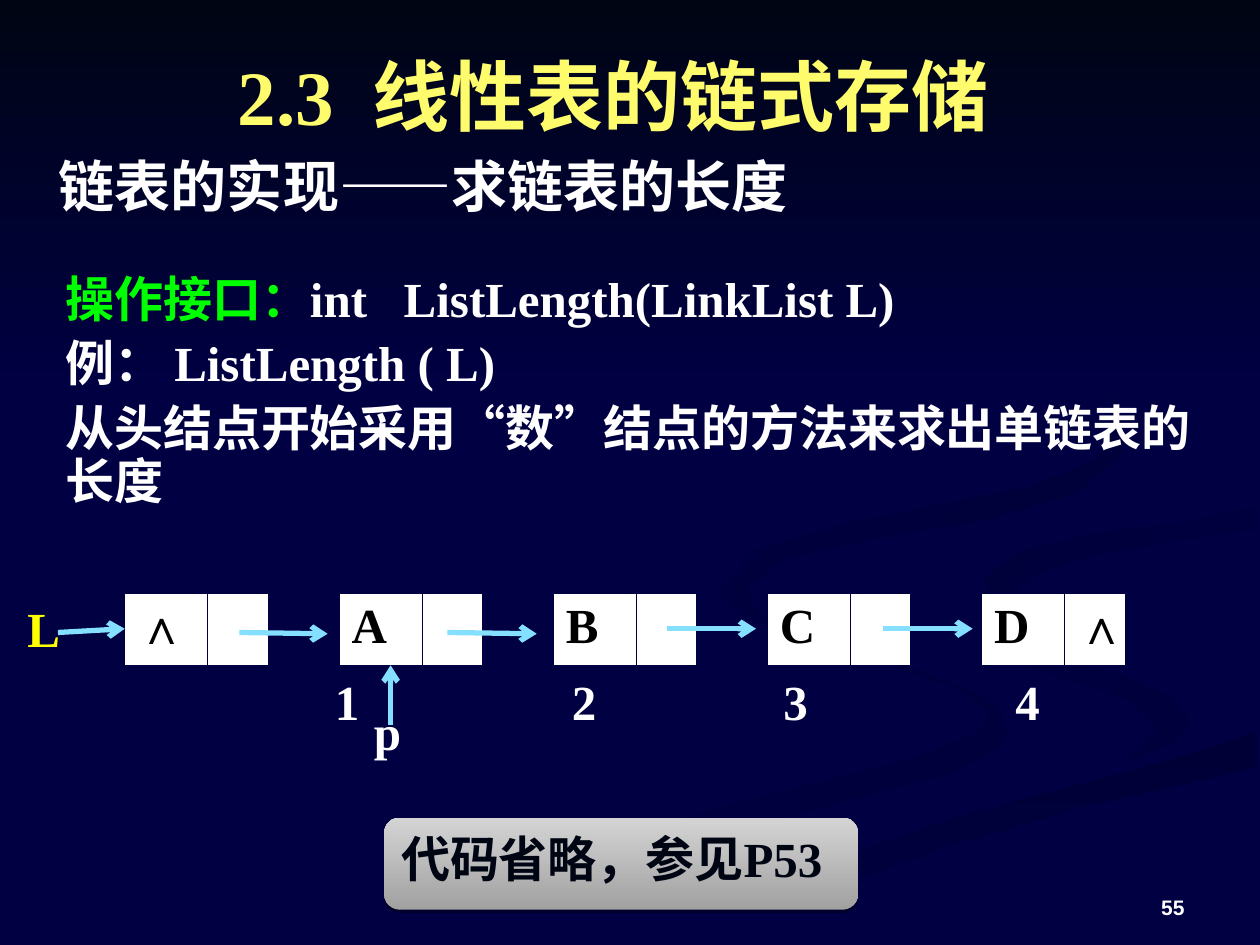
"""Builds the slide on finding the length of a singly linked list."""
import dataclasses

import lxml.etree
import pptx
import pptx.dml.color
import pptx.enum.dml
import pptx.enum.shapes
import pptx.enum.text
import pptx.oxml
import pptx.oxml.ns
import pptx.util

Inches, Pt = pptx.util.Inches, pptx.util.Pt
RGB = pptx.dml.color.RGBColor.from_string
Align, Anchor = pptx.enum.text.PP_ALIGN, pptx.enum.text.MSO_ANCHOR
qn = pptx.oxml.ns.qn


@dataclasses.dataclass(frozen=True)
class Theme:
    navy: str = "000042"
    ink: str = "000514"
    white: str = "FFFFFF"
    black: str = "000000"
    title: str = "FEFB6D"
    yellow: str = "FFFF00"
    green: str = "00FF00"
    arrow: str = "85E0FF"
    silver: tuple = ("A1A1A1", "D4D4D4")
    serif: str = "Times New Roman"
    sans: str = "Arial"
    mono: str = "Courier New"
    title_size: int = 44
    heading_size: int = 32
    body_size: int = 28
    number_size: int = 12


T = Theme()


def write(p, runs, size=T.body_size, color=T.white, font=T.serif):
    p.font.size, p.font.bold = Pt(size), True
    p.font.color.rgb, p.font.name = RGB(color), font
    for text, changes in runs:
        r = p.add_run()
        r.text = text
        if "font" in changes:
            r.font.name = changes["font"]
        if "color" in changes:
            r.font.color.rgb = RGB(changes["color"])


def paint(sp, first, last, angle):
    sp.shadow.inherit = False
    sp.line.fill.background()
    sp.fill.gradient()
    sp.fill.gradient_angle = angle
    for stop, color in zip(sp.fill.gradient_stops, (first, last)):
        stop.color.rgb = RGB(color)


prs = pptx.Presentation()
prs.slide_width, prs.slide_height = Inches(10), Inches(7.5)
s = prs.slides.add_slide(prs.slide_layouts[6])
s.background.fill.solid()
s.background.fill.fore_color.rgb = RGB(T.navy)

ribbons = [
    ("00003C", 0, [(781, 553), (731, 533), (642, 507), (594, 485), (575, 459), (570, 472),
                   (593, 491), (679, 519), (762, 547), (786, 566), (774, 583), (714, 605),
                   (579, 639), (458, 674), (376, 707), (300, 749), (361, 749), (466, 700),
                   (594, 656), (756, 614), (795, 592), (800, 581), (792, 561)]),
    ("00003C", 315, [(943, 570), (930, 553), (888, 535), (792, 509), (745, 490), (724, 464),
                     (733, 488), (766, 512), (838, 536), (900, 557), (918, 581), (894, 605),
                     (932, 589), (943, 576)]),
    ("000036", 90, [(503, 749), (571, 749), (649, 710), (752, 672), (861, 640), (998, 609),
                    (998, 581), (920, 606), (764, 647), (630, 693), (543, 733)]),
    ("00003A", 135, [(781, 460), (786, 474), (806, 487), (826, 496), (809, 483), (805, 472),
                     (816, 459), (859, 443), (936, 429), (998, 420), (998, 402), (933, 415),
                     (865, 424), (810, 437)]),
    ("000038", 315, [(683, 430), (786, 412), (855, 391), (889, 362), (893, 335), (873, 299),
                     (821, 261), (762, 233), (826, 266), (876, 306), (889, 335), (870, 365),
                     (818, 386), (676, 414), (597, 437), (577, 462), (590, 484), (622, 500),
                     (597, 480), (594, 465), (624, 444)]),
]
for shade, angle, points in ribbons:
    outline = s.shapes.build_freeform(*points[0], scale=Inches(0.01))
    outline.add_line_segments(points[1:])
    paint(outline.convert_to_shape(), T.navy, shade, angle)

sky = s.shapes.add_shape(pptx.enum.shapes.MSO_SHAPE.RECTANGLE, 0, 0, Inches(10), Inches(3.08))
paint(sky, T.ink, T.navy, 270)

body = [
    (1.3, 0, [("操作接口：", {"color": T.green}), ("int   ListLength(LinkList L)", {})]),
    (0.9, 7, [("例： ListLength ( L)", {})]),
    (0.9, 7, [("从头结点开始采用", {}), ("“", {"font": T.mono}), ("数", {}),
              ("”", {"font": T.mono}), ("结点的方法来求出单链表的长度", {})]),
]
heading = [("链表的实现", {}), ("——求链表的长度", {"font": T.sans})]
blocks = [
    ((7.17, 6.83, 2.33, 0.52), Anchor.BOTTOM, Align.RIGHT, [(1, 0, [("55", {})])],
     (T.number_size, T.white, T.sans)),
    ((0.37, 1.17, 8.1, 0.59), Anchor.MIDDLE, Align.LEFT, [(1, 0, heading)], (T.heading_size,)),
    ((0.42, 1.94, 9.39, 0.71), Anchor.TOP, Align.LEFT, body, ()),
    ((0.98, 0.4, 7.92, 0.7), Anchor.MIDDLE, Align.CENTER,
     [(1, 0, [("2.3  线性表的链式存储 ", {})])], (T.title_size, T.title)),
]
for box, anchor, align, paragraphs, style in blocks:
    tf = s.shapes.add_textbox(*map(Inches, box)).text_frame
    tf.word_wrap, tf.vertical_anchor = True, anchor
    for i, (spacing, before, runs) in enumerate(paragraphs):
        p = tf.add_paragraph() if i else tf.paragraphs[0]
        p.alignment, p.line_spacing, p.space_before = align, spacing, Pt(before)
        write(p, runs, *style)

nodes = [("∧", ""), ("A", ""), ("B", ""), ("C", ""), ("D", "∧")]
for i, node in enumerate(nodes):
    frame = s.shapes.add_table(1, 2, Inches(0.99 + 1.7 * i), Inches(4.71), Inches(1.14), Inches(0.57))
    table = frame.table
    table.first_row = table.horz_banding = False
    for column, width, text in zip(range(2), (0.66, 0.48), node):
        table.columns[column].width = Inches(width)
    for cell, text in zip(table.rows[0].cells, node):
        if text:
            font = T.sans if text == "∧" else T.serif
            write(cell.text_frame.paragraphs[0], [(text, {})], color=T.black, font=font)
        tcPr = cell._tc.get_or_add_tcPr()
        for side in ("lnL", "lnR", "lnT", "lnB"):
            ln = lxml.etree.SubElement(tcPr, qn("a:" + side), w=str(Pt(0.75)))
            fill = lxml.etree.SubElement(ln, qn("a:solidFill"))
            lxml.etree.SubElement(fill, qn("a:srgbClr"), val=T.navy)
        cell.fill.solid()
        cell.fill.fore_color.rgb = RGB(T.white)

labels = [("L", 0.12, 4.7, T.yellow), ("p", 2.87, 5.52, T.white), ("1", 2.56, 5.28, T.white),
          ("2", 4.44, 5.28, T.white), ("3", 6.12, 5.28, T.white), ("4", 7.96, 5.28, T.white)]
for text, x, y, color in labels:
    tf = s.shapes.add_textbox(Inches(x), Inches(y), Inches(0.43), Inches(0.57)).text_frame
    tf.word_wrap = False
    write(tf.paragraphs[0], [(text, {})], color=color)

arrows = [(1.9, 5.02, 2.6, 5.03), (3.55, 5.02, 4.26, 5.03), (5.29, 4.99, 6, 4.99),
          (7.01, 4.99, 7.72, 4.99), (3.1, 5.75, 3.1, 5.28), (0.46, 5.02, 0.99, 4.99)]
for ends in arrows:
    link = s.shapes.add_connector(pptx.enum.shapes.MSO_CONNECTOR.STRAIGHT, *map(Inches, ends))
    link.line.color.rgb, link.line.width = RGB(T.arrow), Pt(3)
    lxml.etree.SubElement(link.line._get_or_add_ln(), qn("a:tailEnd"), type="arrow")
    lxml.etree.SubElement(link._element.spPr, qn("a:effectLst"))

note = s.shapes.add_shape(pptx.enum.shapes.MSO_SHAPE.FLOWCHART_ALTERNATE_PROCESS,
                          Inches(3.05), Inches(6.49), Inches(3.76), Inches(0.73))
paint(note, *T.silver, 90)
effects = note._element.spPr.find(qn("a:effectLst"))
shadow = lxml.etree.SubElement(effects, qn("a:outerShdw"), dist=str(Pt(1.8)), dir="5400000",
                               rotWithShape="0")
shade = lxml.etree.SubElement(shadow, qn("a:srgbClr"), val=T.black)
lxml.etree.SubElement(shade, qn("a:alpha"), val="35000")
tf = note.text_frame
tf.word_wrap, tf.vertical_anchor = False, Anchor.TOP
tf.paragraphs[0].alignment = Align.LEFT
write(tf.paragraphs[0], [("代码省略，参见P53", {})], color=T.ink)

prs.save("out.pptx")
